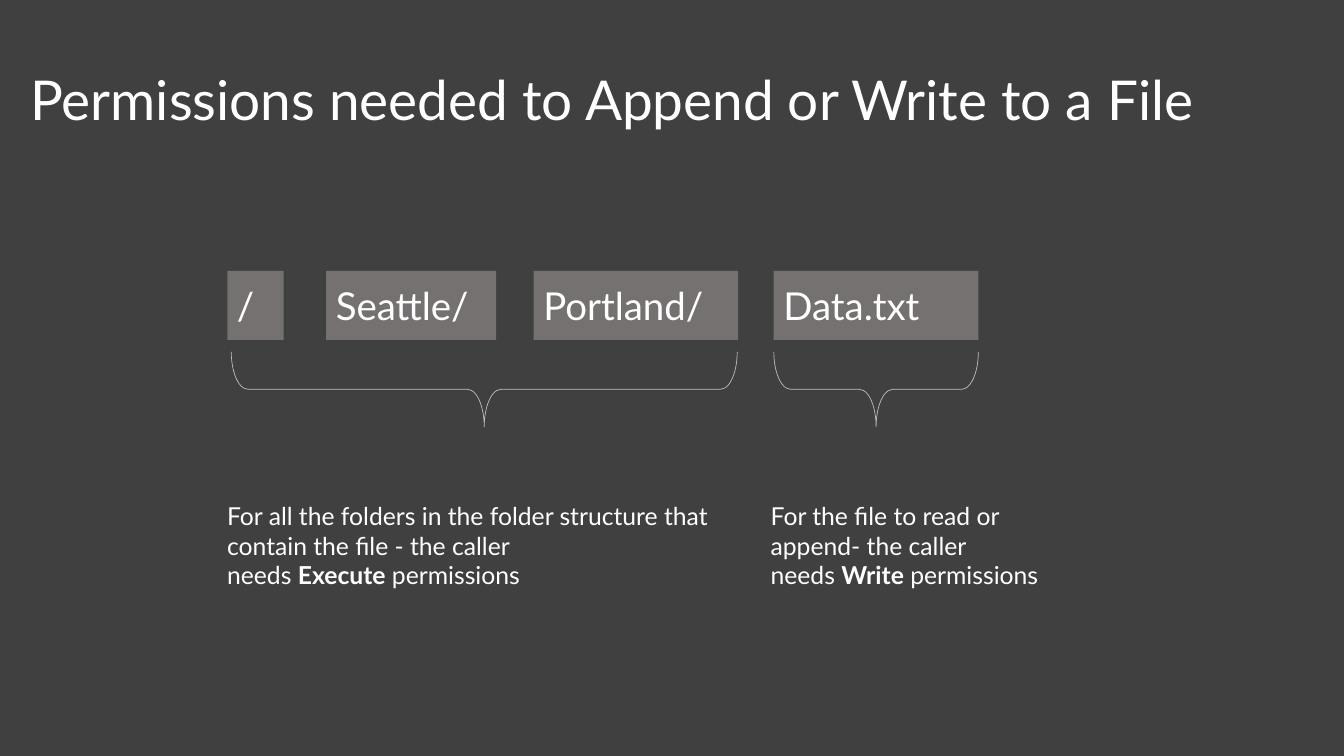
from pptx import Presentation
from pptx.dml.color import RGBColor
from pptx.enum.shapes import MSO_SHAPE
from pptx.enum.text import MSO_ANCHOR, PP_ALIGN
from pptx.util import Inches, Pt

RECTANGLE = MSO_SHAPE.RECTANGLE
RIGHT_BRACE = MSO_SHAPE.RIGHT_BRACE
TOP = MSO_ANCHOR.TOP
MIDDLE = MSO_ANCHOR.MIDDLE
LEFT = PP_ALIGN.LEFT

FONT = "Lato"
COLORS = {
    "background": "404040",
    "text": "FFFFFF",
    "segment": "767171",
    "brace": "BFBFBF",
}


def color(name):
    return RGBColor.from_string(COLORS[name])


class SlideBuilder:
    def __init__(self, presentation):
        self.slide = presentation.slides.add_slide(presentation.slide_layouts[6])
        fill = self.slide.background.fill
        fill.solid()
        fill.fore_color.rgb = color("background")

    def add_runs(self, shape, runs, size, anchor, spacing=1.0):
        frame = shape.text_frame
        frame.word_wrap = True
        frame.vertical_anchor = anchor
        paragraph = frame.paragraphs[0]
        paragraph.alignment = LEFT
        paragraph.line_spacing = spacing
        for text, bold in runs:
            run = paragraph.add_run()
            run.text = text
            run.font.name = FONT
            run.font.size = Pt(size)
            run.font.bold = bold
            run.font.color.rgb = color("text")

    def text(self, left, top, width, height, runs, size, anchor=TOP, spacing=1.0):
        box = self.slide.shapes.add_textbox(
            Inches(left), Inches(top), Inches(width), Inches(height))
        self.add_runs(box, runs, size, anchor, spacing)

    def shape(self, kind, left, top, width, height):
        shape = self.slide.shapes.add_shape(
            kind, Inches(left), Inches(top), Inches(width), Inches(height))
        shape.shadow.inherit = False
        return shape

    def segment(self, left, top, width, height, label):
        shape = self.shape(RECTANGLE, left, top, width, height)
        shape.fill.solid()
        shape.fill.fore_color.rgb = color("segment")
        shape.line.fill.background()
        self.add_runs(shape, [(label, False)], 28, MIDDLE)

    def brace_below(self, left, top, width, depth):
        shape = self.shape(
            RIGHT_BRACE,
            left + (width - depth) / 2, top + (depth - width) / 2, depth, width)
        shape.rotation = 90
        shape.adjustments[0] = 0.222
        shape.adjustments[1] = 0.5
        shape.fill.background()
        shape.line.color.rgb = color("brace")
        shape.line.width = Pt(0.5)


presentation = Presentation()
presentation.slide_width = Inches(13.6)
presentation.slide_height = Inches(7.65)
builder = SlideBuilder(presentation)

builder.text(0.21, 0.21, 13.18, 1.66,
             [("Permissions needed to Append or Write to a File", False)],
             40, MIDDLE, 0.9)

FILE_SEGMENTS = [
    ("/", 2.3, 0.57),
    ("Seattle/", 3.3, 1.72),
    ("Portland/", 5.4, 2.07),
    ("Data.txt", 7.83, 2.07),
]
for label, left, width in FILE_SEGMENTS:
    builder.segment(left, 2.74, width, 0.7, label)

for left, width in [(2.34, 5.12), (7.83, 2.07)]:
    builder.brace_below(left, 3.56, width, 0.76)

CAPTIONS = [
    (2.2, 5.1, "For all the folders in the folder structure that contain the file"
               " - the caller needs\u00a0", "Execute"),
    (7.7, 3.4, "For the file to read or append- the caller needs\u00a0", "Write"),
]
for left, width, explanation, permission in CAPTIONS:
    builder.text(left, 5.02, width, 1.01, [
        (explanation, False),
        (permission, True),
        ("\u00a0permissions", False),
    ], 18)

presentation.save("out.pptx")
